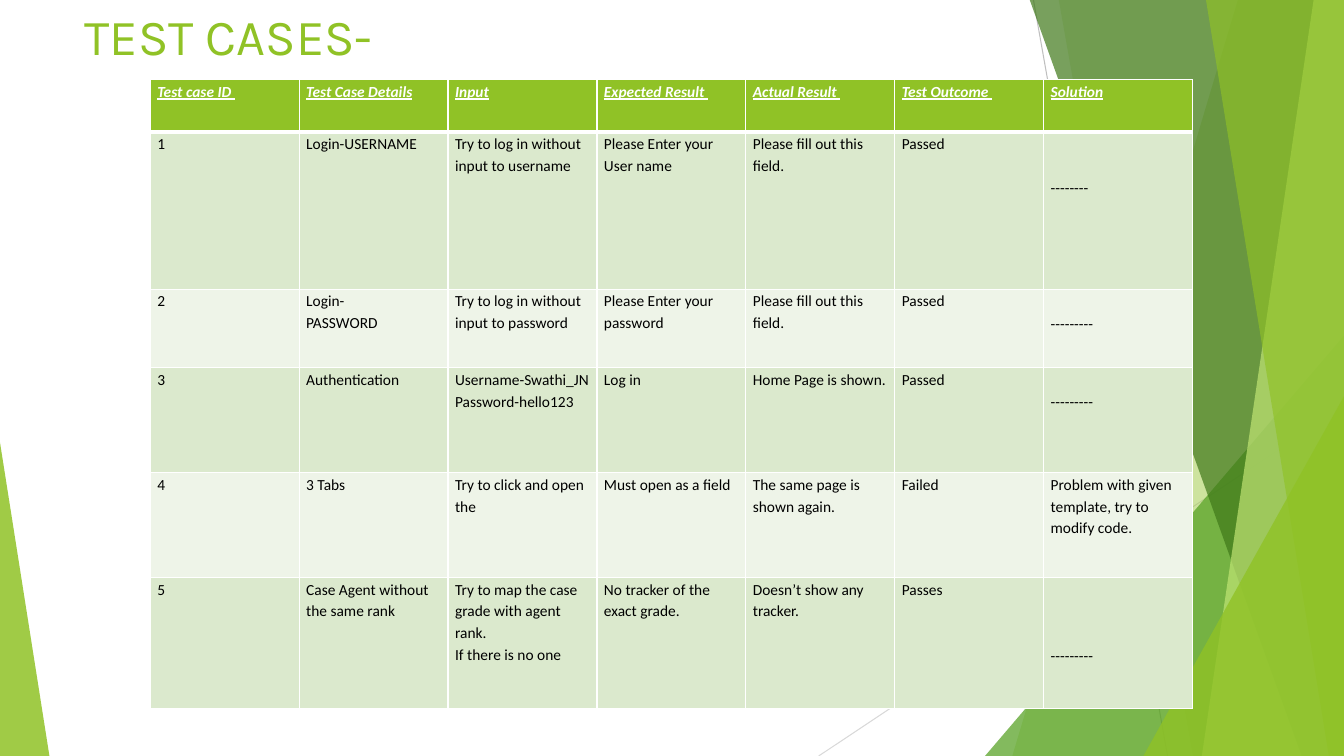
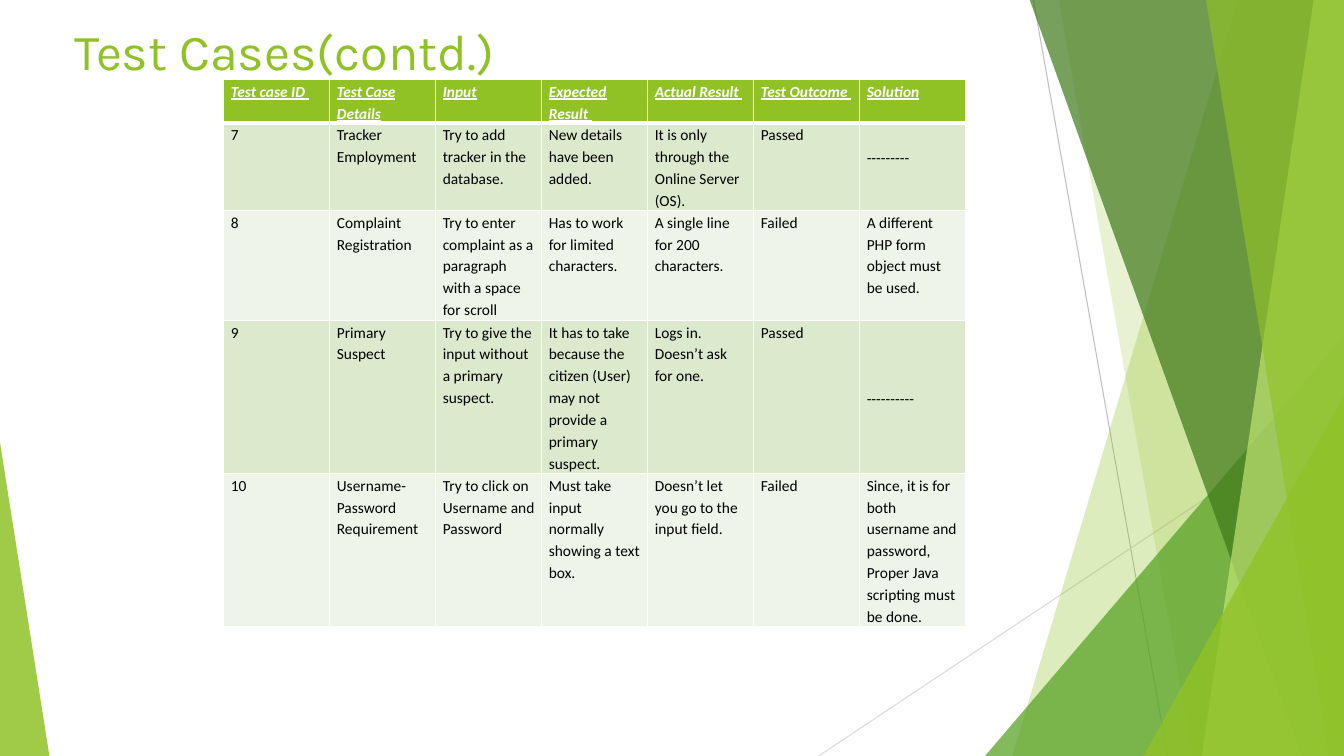
from lxml import etree
from pptx import Presentation
from pptx.dml.color import RGBColor
from pptx.enum.shapes import MSO_CONNECTOR, MSO_SHAPE
from pptx.enum.text import MSO_ANCHOR, MSO_AUTO_SIZE, PP_ALIGN
from pptx.oxml.ns import qn
from pptx.util import Inches, Pt

LINE = MSO_CONNECTOR.STRAIGHT
WEDGE = MSO_SHAPE.ISOSCELES_TRIANGLE
TOP = MSO_ANCHOR.TOP
FIXED = MSO_AUTO_SIZE.NONE
LEFT = PP_ALIGN.LEFT

WIDE, HIGH = 13.33, 7.5
STEP = 0.22
COLORS = {
    "lime": "90C226", "green": "54A021", "dark": "3F7819", "pale": "C0E474",
    "gray": "BFBFBF", "mist": "D9D9D9", "white": "FFFFFF", "black": "000000",
    "odd": "DBE9CD", "even": "EEF4E8",
}
HEADS = ["Test case ID ", "Test Case Details", "Input", "Expected Result ",
         "Actual Result ", "Test Outcome ", "Solution"]


def color(name):
    return RGBColor.from_string(COLORS[name])


class Deck:
    def __init__(self):
        self.prs = Presentation()
        self.prs.slide_width = Inches(WIDE)
        self.prs.slide_height = Inches(HIGH)
        self.layout = self.prs.slide_layouts[5]
        self.slide = None

    def start(self):
        self.slide = self.prs.slides.add_slide(self.layout)

    def line(self, x1, y1, x2, y2, tint):
        link = self.slide.shapes.add_connector(
            LINE, Inches(x1), Inches(y1), Inches(x2), Inches(y2))
        link.line.color.rgb = color(tint)
        link.line.width = Pt(0.75)
        etree.SubElement(link.element.spPr, qn("a:effectLst"))
        return link

    def paint(self, shape, tint, alpha):
        shape.shadow.inherit = False
        shape.fill.solid()
        shape.fill.fore_color.rgb = color(tint)
        shape.line.fill.background()
        tone = next(shape.element.iter(qn("a:srgbClr")))
        etree.SubElement(tone, qn("a:alpha"), val=str(alpha * 1000))
        return shape

    def band(self, top, base, tint, alpha):
        path = self.slide.shapes.build_freeform(Inches(top), Inches(-0.01))
        path.add_line_segments([
            (Inches(WIDE), Inches(-0.01)), (Inches(WIDE), Inches(HIGH)),
            (Inches(base), Inches(HIGH))])
        return self.paint(path.convert_to_shape(), tint, alpha)

    def wedge(self, x, y, width, tip, tint, alpha):
        shape = self.slide.shapes.add_shape(
            WEDGE, Inches(x), Inches(y), Inches(width), Inches(HIGH - y))
        shape.adjustments[0] = tip
        return self.paint(shape, tint, alpha)

    def share(self, shapes):
        tree = self.layout.shapes.element
        for spot, shape in enumerate(shapes, 2):
            tree.insert(spot, shape.element)

    def title(self, text, x, y, width, height):
        shape = self.slide.shapes.title
        shape.left, shape.top = Inches(x), Inches(y)
        shape.width, shape.height = Inches(width), Inches(height)
        frame = shape.text_frame
        frame.text = text
        frame.auto_size = FIXED
        frame.vertical_anchor = TOP
        para = frame.paragraphs[0]
        para.alignment = LEFT
        para.font.name = "Karla"
        para.font.size = Pt(36)
        para.font.color.rgb = color("lime")

    def edge(self, cell, row):
        sides = {"L": 1, "R": 1, "T": 3 if row == 1 else 1,
                 "B": 3 if row == 0 else 1}
        props = cell._tc.get_or_add_tcPr()
        for spot, (side, size) in enumerate(sides.items()):
            rule = etree.Element(qn("a:ln" + side), w=str(Pt(size)))
            fill = etree.SubElement(rule, qn("a:solidFill"))
            etree.SubElement(fill, qn("a:srgbClr"), val=COLORS["white"])
            props.insert(spot, rule)

    def cell(self, cell, item, row):
        gap, text = item if isinstance(item, tuple) else (0, item)
        head = row == 0
        cell.text = text
        cell.margin_left = cell.margin_right = Inches(0.07)
        cell.margin_top = Inches(gap * STEP)
        cell.margin_bottom = 0
        cell.fill.solid()
        cell.fill.fore_color.rgb = color(
            "lime" if head else "odd" if row % 2 else "even")
        self.edge(cell, row)
        for para in cell.text_frame.paragraphs:
            para.line_spacing = 1.15
            font = para.font
            font.name = "Calibri"
            font.size = Pt(11)
            font.bold = font.italic = font.underline = head
            font.color.rgb = color("white" if head else "black")

    def table(self, x, y, width, highs, rows):
        rows = [HEADS] + rows
        grid = self.slide.shapes.add_table(
            len(rows), len(HEADS), Inches(x), Inches(y),
            Inches(width), Inches(sum(highs))).table
        for col in grid.columns:
            col.width = Inches(width / len(HEADS))
        for r, items in enumerate(rows):
            grid.rows[r].height = Inches(highs[r])
            for c, item in enumerate(items):
                self.cell(grid.cell(r, c), item, r)


deck = Deck()
deck.start()
deck.share([
    deck.line(10.25, 0, 11.58, HIGH, "gray"),
    deck.line(WIDE, 4.03, 8.12, HIGH, "mist"),
    deck.band(12.28, 10.04, "lime", 30),
    deck.band(10.5, 11.83, "lime", 20),
    deck.wedge(9.77, 3.33, 3.56, 1, "green", 72),
    deck.band(10.21, 12.91, "dark", 70),
    deck.band(13.03, 11.92, "pale", 70),
    deck.band(11.96, 13.18, "lime", 65),
    deck.wedge(11.34, 3.93, 1.99, 1, "lime", 80),
    deck.wedge(0, 4.39, 0.49, 0, "lime", 85),
])
deck.title("TEST CASES-", 0.74, 0, 8.89, 0.97)
deck.table(1.49, 0.79, 10.34, [0.52, 1.56, 0.78, 1.04, 1.04, 1.3], [
    ["1", "Login-USERNAME", "Try to log in without input to username",
     "Please Enter your User name", "Please fill out this field.", "Passed",
     (2, "--------")],
    ["2", "Login-\nPASSWORD", "Try to log in without input to password",
     "Please Enter your password", "Please fill out this field.", "Passed",
     (1, "---------")],
    ["3", "Authentication", "Username-Swathi_JN\nPassword-hello123",
     "Log in", "Home Page is shown.", "Passed", (1, "---------")],
    ["4", "3 Tabs", "Try to click and open the", "Must open as a field",
     "The same page is shown again.", "Failed",
     "Problem with given template, try to modify code."],
    ["5", "Case Agent without the same rank",
     "Try to map the case grade with agent rank.\nIf there is no one",
     "No tracker of the exact grade.", "Doesn’t show any tracker.", "Passes",
     (3, "---------")],
])

deck.start()
deck.title("Test Cases(contd.)", 0.64, 0.15, 9.4, 1.44)
deck.table(2.22, 0.79, 7.36, [0.43, 0.86, 1.09, 1.52, 1.52], [
    ["7", "Tracker Employment", "Try to add tracker in the database.",
     "New details have been added.",
     "It is only through the Online Server (OS).", "Passed",
     (1, "---------")],
    ["8", "Complaint Registration",
     "Try to enter complaint as a paragraph with a space for scroll",
     "Has to work for limited characters.",
     "A single line for 200 characters.", "Failed",
     "A different PHP form object must be used."],
    ["9", "Primary Suspect",
     "Try to give the input without a primary suspect.",
     "It has to take because the citizen (User) may not provide a "
     "primary suspect.", "Logs in. Doesn’t ask for one.", "Passed",
     (3, "----------")],
    ["10", "Username-Password Requirement",
     "Try to click on Username and Password",
     "Must take input normally showing a text box.",
     "Doesn’t let you go to the input field.", "Failed",
     "Since, it is for both username and password, Proper Java scripting "
     "must be done."],
])
deck.prs.save("out.pptx")
